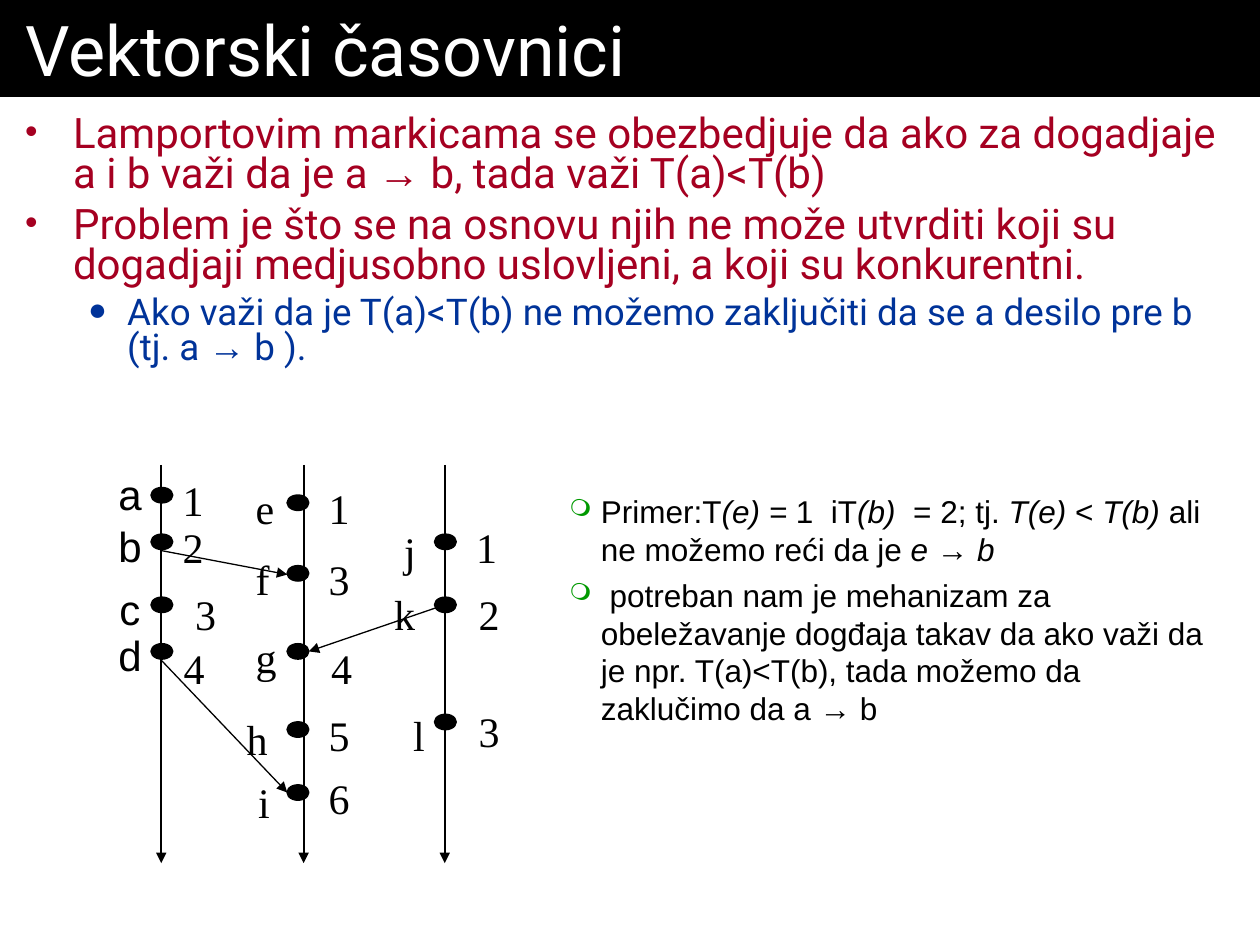
from dataclasses import dataclass

from pptx import Presentation
from pptx import util as u
from pptx.dml.color import RGBColor
from pptx.enum import shapes, text
from pptx.oxml import ns, xmlchemy

Inches, Pt = u.Inches, u.Pt


@dataclass(frozen=True)
class Theme:
    black: str = "000000"
    white: str = "FFFFFF"
    red: str = "A50021"
    blue: str = "003399"
    green: str = "009900"
    heading: str = "Roboto"
    sans: str = "Arial"
    serif: str = "Times New Roman"
    title_size: float = 40
    body_size: float = 24
    sub_size: float = 21
    note_size: float = 18
    label_size: float = 24


THEME = Theme()

# Each process: line x, dot left, label font, label anchor, events.
# Each event: name, dot top, name position, value, value position.
PROCESSES = [
    (1.28, 1.2, THEME.sans, True, [
        ("a", 3.87, (0.84, 3.67), "1", (1.35, 3.72)),
        ("b", 4.24, (0.84, 4.08), "2", (1.35, 4.09)),
        ("c", 4.74, (0.84, 4.58), "3", (1.45, 4.62)),
        ("d", 5.11, (0.84, 4.95), "4", (1.36, 5.05))]),
    (2.41, 2.28, THEME.serif, False, [
        ("e", 3.93, (1.93, 3.78), "1", (2.51, 3.78)),
        ("f", 4.49, (1.93, 4.34), "3", (2.51, 4.34)),
        ("g", 5.11, (1.93, 4.96), "4", (2.53, 5.05)),
        ("h", 5.73, (1.86, 5.61), "5", (2.51, 5.58)),
        ("i", 6.23, (1.95, 6.11), "6", (2.51, 6.08))]),
    (3.53, 3.45, THEME.serif, False, [
        ("j", 4.24, (3.11, 4.12), "1", (3.68, 4.09)),
        ("k", 4.74, (3.03, 4.62), "2", (3.7, 4.62)),
        ("l", 5.67, (3.18, 5.58), "3", (3.7, 5.55))]),
]
MESSAGES = [((1.28, 4.37), (2.28, 4.56)),
            ((3.53, 4.8), (2.45, 5.17)),
            ((1.28, 5.24), (2.28, 6.29))]


def rgb(value):
    return RGBColor.from_string(value)


def add_span(para, words, font, size, color, italic=None):
    span = para.add_run()
    span.text = words
    span.font.name, span.font.size = font, Pt(size)
    span.font.color.rgb = rgb(color)
    span.font.italic = italic


def place(box, left, top, width, height):
    box.left, box.top = Inches(left), Inches(top)
    box.width, box.height = Inches(width), Inches(height)


def set_frame(box, side, edge, anchor=text.MSO_ANCHOR.TOP):
    frame = box.text_frame
    frame.word_wrap = True
    frame.auto_size = text.MSO_AUTO_SIZE.NONE
    frame.vertical_anchor = anchor
    frame.margin_left = frame.margin_right = Inches(side)
    frame.margin_top = frame.margin_bottom = Inches(edge)
    return frame


def add_bullet(para, char, color, percent, margin, hang):
    props = para._p.get_or_add_pPr()
    props.set("marL", str(Inches(margin)))
    props.set("indent", str(-Inches(hang)))
    fill = xmlchemy.OxmlElement("a:buClr")
    tint = xmlchemy.OxmlElement("a:srgbClr")
    tint.set("val", color)
    fill.append(tint)
    scale = xmlchemy.OxmlElement("a:buSzPct")
    scale.set("val", str(percent * 1000))
    mark = xmlchemy.OxmlElement("a:buChar")
    mark.set("char", char)
    props.extend([fill, scale, mark])


def next_para(frame, space):
    """Reuse the empty first paragraph, otherwise add one with a gap above."""
    first = frame.paragraphs[0]
    para = first if not first.runs else frame.add_paragraph()
    para.space_before = Pt(space if first.runs else 0)
    para.space_after = Pt(0)
    para.alignment = text.PP_ALIGN.LEFT
    return para


def add_line(group, start, end, width):
    line = group.shapes.add_connector(
        shapes.MSO_CONNECTOR.STRAIGHT, *map(Inches, start + end))
    line.line.color.rgb = rgb(THEME.black)
    line.line.width = Pt(width)
    head = xmlchemy.OxmlElement("a:tailEnd")
    head.set("type", "triangle")
    line.line._get_or_add_ln().append(head)
    line._element.find(ns.qn("p:spPr")).append(xmlchemy.OxmlElement("a:effectLst"))


def add_dot(group, left, top):
    dot = group.shapes.add_shape(
        shapes.MSO_SHAPE.OVAL, *map(Inches, (left, top, 0.17, 0.12)))
    dot.shadow.inherit = False
    dot.fill.solid()
    dot.fill.fore_color.rgb = dot.line.color.rgb = rgb(THEME.black)
    dot.line.width = Pt(1)


def add_label(group, words, position, font, centred=False):
    box = group.shapes.add_textbox(*map(Inches, position + (0.38, 0.5)))
    anchor = text.MSO_ANCHOR.MIDDLE if centred else text.MSO_ANCHOR.TOP
    para = set_frame(box, 0.1, 0.05, anchor).paragraphs[0]
    para.alignment = text.PP_ALIGN.CENTER if centred else text.PP_ALIGN.LEFT
    add_span(para, words, font, THEME.label_size, THEME.black)


def fill_title(box):
    place(box, 0, 0, 10, 0.77)
    box.fill.solid()
    box.fill.fore_color.rgb = rgb(THEME.black)
    para = next_para(set_frame(box, 0.2, 0.05), 0)
    add_span(para, "Vektorski časovnici", THEME.heading, THEME.title_size, THEME.white)


def fill_body(box):
    place(box, 0, 0.77, 10, 2.39)
    frame = set_frame(box, 0.2, 0.15)
    points = [
        (0, ["Lamportovim markicama se obezbedjuje da ako za dogadjaje a i b "
             "važi da je a ", "→", " b, tada važi T(a)<T(b)"]),
        (0, ["Problem je što se na osnovu njih ne može utvrditi koji su "
             "dogadjaji medjusobno uslovljeni, a koji su konkurentni."]),
        (1, ["Ako važi da je T(a)<Т(b) ne možemo zaključiti da se a desilo "
             "pre b (tј. a ", "→", " b )."]),
    ]
    levels = [("•", THEME.red, THEME.body_size, 6, 0.38, 0.38),
              ("●", THEME.blue, THEME.sub_size, 5.2, 0.81, 0.31)]
    for level, parts in points:
        char, color, size, space, margin, hang = levels[level]
        para = next_para(frame, space)
        para.level, para.line_spacing = level, 0.8
        add_bullet(para, char, color, 85, margin, hang)
        for words in parts:
            font = THEME.sans if words == "→" else THEME.heading
            add_span(para, words, font, size, color)


def add_diagram(page):
    group = page.shapes.add_group_shape()
    for x, dot_left, font, centred, events in PROCESSES:
        add_line(group, (x, 3.69), (x, 6.85), 1)
        for name, dot_top, name_at, value, value_at in events:
            add_dot(group, dot_left, dot_top)
            add_label(group, name, name_at, font, centred)
            add_label(group, value, value_at, THEME.serif)
    for start, end in MESSAGES:
        add_line(group, start, end, 0.75)


def add_notes_box(page):
    box = page.shapes.add_textbox(*map(Inches, (4.17, 3.85, 5.58, 1.97)))
    frame = set_frame(box, 0.1, 0.05, text.MSO_ANCHOR.BOTTOM)
    # Spans alternate between upright and italic
    remarks = [
        ["Primer:T", "(e) = ", "1  iT", "(b) ", " = 2; tj. ", "T(e) ", "< ",
         "T(b)", " ali ne možemo reći da je ", "e → b"],
        [" potreban nam je mehanizam za obeležavanje dogđaja takav da ako važi "
         "da je npr. T(a)<T(b), tada možemo da zaklučimo da a → b"],
    ]
    for parts in remarks:
        para = next_para(frame, 4.5)
        para.level = 1
        add_bullet(para, "❍", THEME.green, 75, 0.5, 0.25)
        for index, words in enumerate(parts):
            add_span(para, words, THEME.sans, THEME.note_size, THEME.black, index % 2 == 1)


def main():
    deck = Presentation()
    deck.slide_width, deck.slide_height = Inches(10), Inches(7.5)
    page = deck.slides.add_slide(deck.slide_layouts[1])
    # Heading and list
    fill_title(page.shapes.title)
    fill_body(page.placeholders[1])
    # Process diagram and remarks
    add_diagram(page)
    add_notes_box(page)
    deck.save("out.pptx")


if __name__ == "__main__":
    main()
